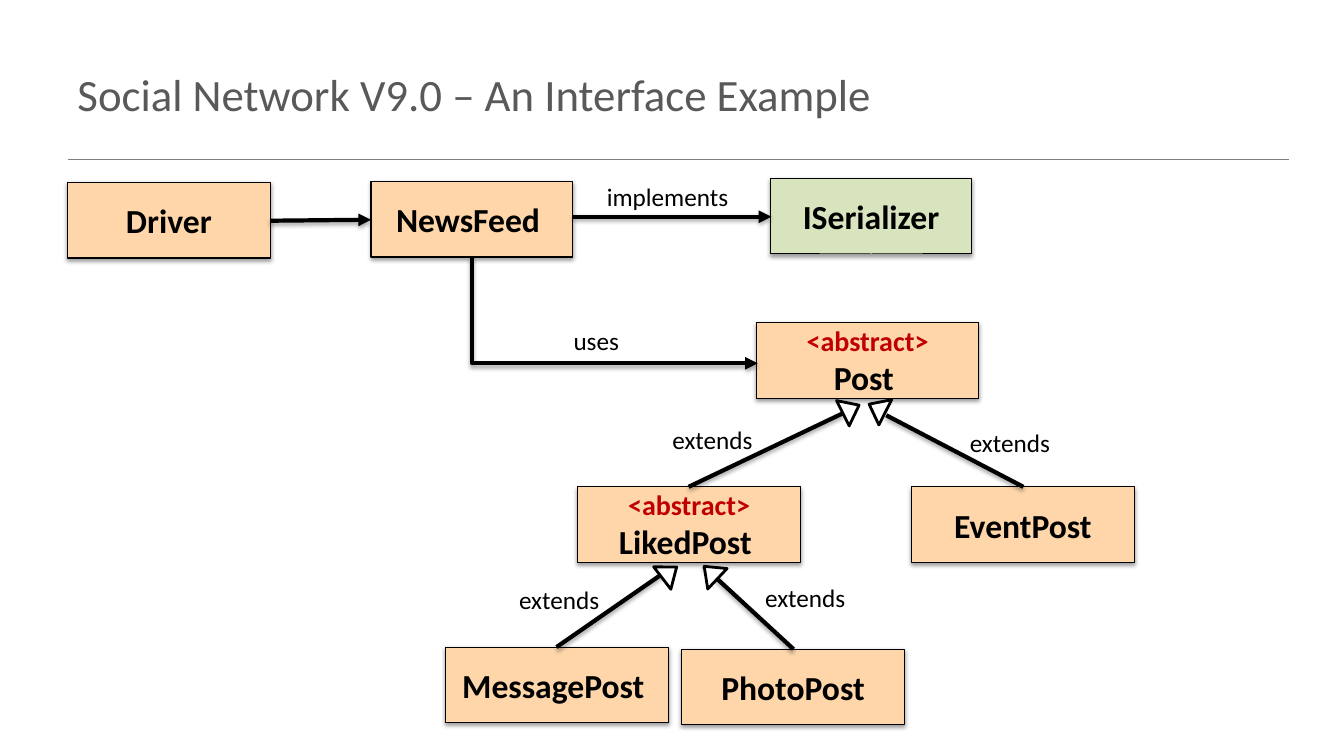
from lxml.etree import SubElement
from pptx import Presentation
from pptx.dml.color import RGBColor
from pptx.enum.shapes import MSO_CONNECTOR, MSO_SHAPE
from pptx.enum.text import MSO_ANCHOR, MSO_AUTO_SIZE, PP_ALIGN
from pptx.oxml.ns import qn
from pptx.util import Pt

PX = 9144  # 100 px to the inch
COLORS = {
    "black": "000000", "white": "FFFFFF", "title": "595959", "rule": "808080",
    "class": "FED6AA", "interface": "D7E4BD", "abstract": "C00000",
}
BOX_HEIGHT = 75


def add_run(paragraph, text, size, color, bold=False):
    run = paragraph.add_run()
    run.text = text
    run.font.name = "Calibri"
    run.font.size = Pt(size)
    run.font.bold = bold
    run.font.color.rgb = RGBColor.from_string(COLORS[color])


def add_shadow(effects, opacity, distance):
    shadow = SubElement(effects, qn("a:outerShdw"), blurRad="40000",
                        dist=str(distance), dir="5400000", rotWithShape="0")
    color = SubElement(shadow, qn("a:srgbClr"), val=COLORS["black"])
    SubElement(color, qn("a:alpha"), val=str(opacity * 1000))


presentation = Presentation()
presentation.slide_width = 1333 * PX
presentation.slide_height = 750 * PX
slide = presentation.slides.add_slide(presentation.slide_layouts[6])
shapes = slide.shapes

# Title and rule
title = shapes.add_textbox(67 * PX, 30 * PX, 1200 * PX, 125 * PX)
title.text_frame.word_wrap = True
title.text_frame.vertical_anchor = MSO_ANCHOR.MIDDLE
add_run(title.text_frame.paragraphs[0],
        "Social Network V9.0 – An Interface Example", 32, "title")

rule = shapes.add_connector(MSO_CONNECTOR.STRAIGHT,
                            67 * PX, 158 * PX, 1278 * PX, 158 * PX)
rule.line.color.rgb = RGBColor.from_string(COLORS["rule"])
rule.line.width = Pt(1)
SubElement(rule._element.spPr, qn("a:effectLst"))

# Class boxes: name, left, top, width, fill, abstract
boxes = [
    ("Driver", 67, 181, 201, "class", False),
    ("NewsFeed ", 368, 180, 200, "class", False),
    ("ISerializer", 764, 177, 200, "interface", False),
    ("Post ", 750, 320, 221, "class", True),
    ("LikedPost ", 573, 483, 221, "class", True),
    ("EventPost", 904, 483, 221, "class", False),
    ("MessagePost ", 442, 642, 221, "class", False),
    ("PhotoPost", 676, 644, 221, "class", False),
]
for name, left, top, width, fill, abstract in boxes:
    box = shapes.add_shape(MSO_SHAPE.RECTANGLE, left * PX, top * PX,
                           width * PX, BOX_HEIGHT * PX)
    box.fill.solid()
    box.fill.fore_color.rgb = RGBColor.from_string(COLORS[fill])
    box.line.color.rgb = RGBColor.from_string(COLORS["black"])
    box.line.width = Pt(0.75)
    box.shadow.inherit = False
    add_shadow(box._element.spPr.find(qn("a:effectLst")), 38, 20000)
    box.text_frame.word_wrap = True
    box.text_frame.vertical_anchor = MSO_ANCHOR.MIDDLE
    paragraph = box.text_frame.paragraphs[0]
    paragraph.alignment = PP_ALIGN.CENTER
    if abstract:
        add_run(paragraph, "<abstract>", 20, "abstract", bold=True)
        paragraph.add_line_break()
    add_run(paragraph, name, 24, "black", bold=True)

# Relations: kind, start x, start y, end x, end y
relations = [
    ("arrow", 268, 219, 368, 218),
    ("arrow", 568, 215, 765, 215),
    ("elbow", 663, 166, 557, 449),
    ("extends", 683, 483, 836, 410),
    ("extends", 1015, 483, 879, 412),
    ("extends", 552, 642, 666, 563),
    ("extends", 787, 644, 698, 562),
]
for kind, *ends in relations:
    connector = shapes.add_connector(MSO_CONNECTOR.STRAIGHT,
                                     *[value * PX for value in ends])
    connector.line.color.rgb = RGBColor.from_string(COLORS["black"])
    connector.line.width = Pt(3)
    properties = connector._element.spPr
    if kind == "elbow":  # one bend, turned to run down and then right
        properties.find(qn("a:prstGeom")).set("prst", "bentConnector2")
        properties.find(qn("a:xfrm")).set("rot", str(270 * 60000))
    if kind != "extends":
        SubElement(properties.find(qn("a:ln")), qn("a:tailEnd"), type="triangle")
    add_shadow(SubElement(properties, qn("a:effectLst")), 35, 23000)

# Hollow inheritance heads: left, top, rotation
for left, top, rotation in [(830, 397, 63.5), (856, 396, 296.9),
                            (650, 559, 52.5), (691, 559, 313.3)]:
    head = shapes.add_shape(MSO_SHAPE.ISOSCELES_TRIANGLE,
                            left * PX, top * PX, 28 * PX, 18 * PX)
    head.rotation = rotation
    head.fill.solid()
    head.fill.fore_color.rgb = RGBColor.from_string(COLORS["white"])
    head.line.color.rgb = RGBColor.from_string(COLORS["black"])
    head.line.width = Pt(2)
    head.shadow.inherit = False

# Relation labels: text, left, top, width
labels = [
    ("implements", 592, 175, 142),
    ("uses", 559, 318, 66),
    ("extends", 657, 416, 101),
    ("extends", 952, 419, 101),
    ("extends", 505, 575, 101),
    ("extends", 749, 573, 101),
]
for text, left, top, width in labels:
    label = shapes.add_textbox(left * PX, top * PX, width * PX, 40 * PX)
    label.text_frame.word_wrap = False
    label.text_frame.auto_size = MSO_AUTO_SIZE.SHAPE_TO_FIT_TEXT
    add_run(label.text_frame.paragraphs[0], text, 18, "black")

presentation.save("out.pptx")
